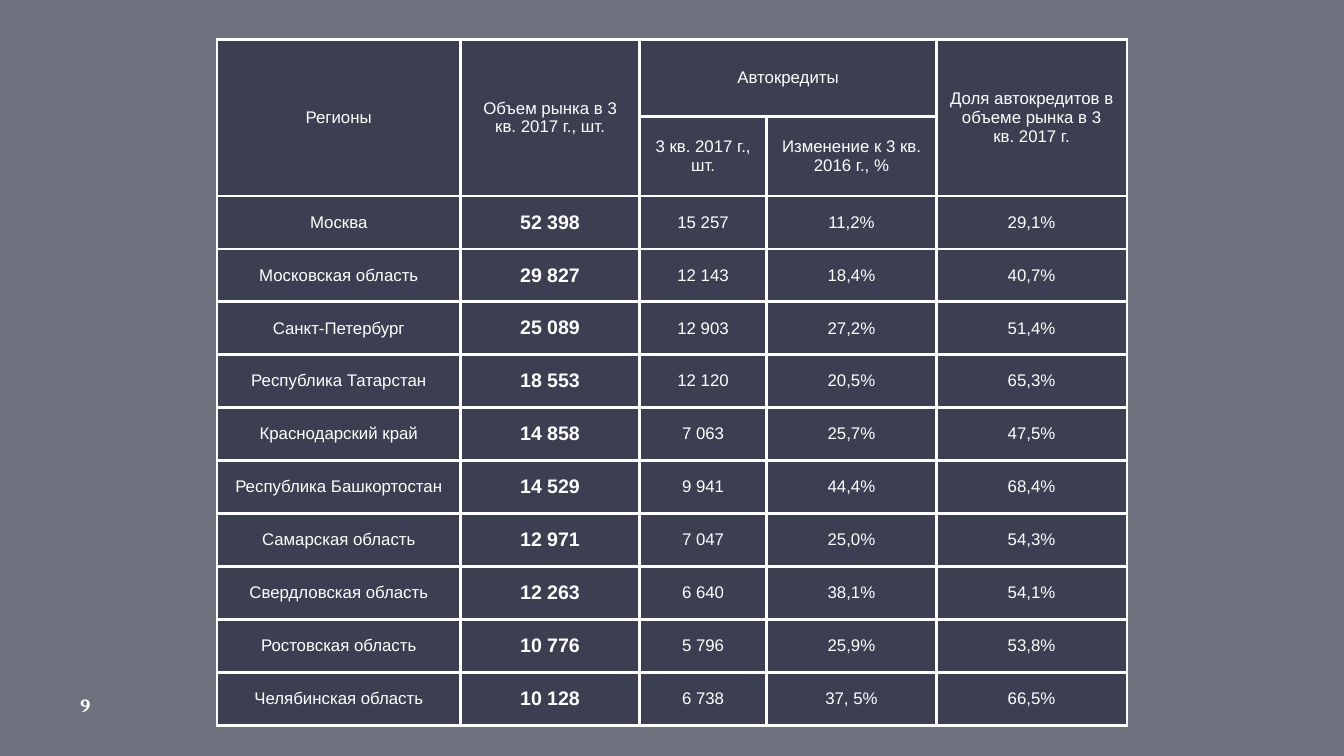
import pptx
import pptx.dml.color
import pptx.enum.shapes
import pptx.enum.text
import pptx.oxml
import pptx.oxml.ns
import pptx.util
from lxml import etree

Pt = pptx.util.Pt
ALIGN = pptx.enum.text.PP_ALIGN
MIDDLE = pptx.enum.text.MSO_ANCHOR.MIDDLE

COLORS = {"navy": "212539", "white": "FFFFFF"}
OPACITY = 65
BORDER = 1.5

COL_WIDTHS = [130.5, 96, 68, 91, 102]
HEADER_HEIGHT, ROW_HEIGHT = 41.2, 28.4
HEADERS = [
    ["Регионы", "Объем рынка в 3 кв. 2017 г., шт.", "Автокредиты", "",
     "Доля автокредитов в объеме рынка в 3 кв. 2017 г."],
    ["", "", "3 кв. 2017 г., шт.", "Изменение к 3 кв. 2016 г., %", ""],
]
# First and last cell (row, column) of each merged header
MERGES = [((0, 0), (1, 0)), ((0, 1), (1, 1)), ((0, 2), (0, 3)), ((0, 4), (1, 4))]
REGIONS = [
    ["Москва", "52 398", "15 257", "11,2%", "29,1%"],
    ["Московская область", "29 827", "12 143", "18,4%", "40,7%"],
    ["Санкт-Петербург", "25 089", "12 903", "27,2%", "51,4%"],
    ["Республика Татарстан", "18 553", "12 120", "20,5%", "65,3%"],
    ["Краснодарский край", "14 858", "7 063", "25,7%", "47,5%"],
    ["Республика Башкортостан", "14 529", "9 941", "44,4%", "68,4%"],
    ["Самарская область", "12 971", "7 047", "25,0%", "54,3%"],
    ["Свердловская область", "12 263", "6 640", "38,1%", "54,1%"],
    ["Ростовская область", "10 776", "5 796", "25,9%", "53,8%"],
    ["Челябинская область", "10 128", "6 738", "37, 5%", "66,5%"],
]


def rgb(name):
    return pptx.dml.color.RGBColor.from_string(COLORS[name])


def write(tf, text, size=9, font="Arial", bold=False, align=ALIGN.CENTER):
    p = tf.paragraphs[0]
    p.alignment = align
    r = p.add_run()
    r.text = text
    r.font.size = Pt(size)
    r.font.name = font
    r.font.bold = bold
    r.font.color.rgb = rgb("white")


def tint(fill, element):
    """Fill with translucent navy; element holds the fill's XML."""
    fill.solid()
    fill.fore_color.rgb = rgb("navy")
    clr = element.find(pptx.oxml.ns.qn("a:solidFill"))[0]
    etree.SubElement(clr, pptx.oxml.ns.qn("a:alpha"), val=str(OPACITY * 1000))


def add_borders(cell):
    tcPr = cell._tc.get_or_add_tcPr()
    for i, side in enumerate(("lnL", "lnR", "lnT", "lnB")):
        tcPr.insert(i, pptx.oxml.parse_xml(
            f'<a:{side} {pptx.oxml.ns.nsdecls("a")} w="{Pt(BORDER)}"><a:solidFill>'
            f'<a:srgbClr val="{COLORS["white"]}"/></a:solidFill></a:{side}>'))


def add_backdrop(s, width, height):
    sp = s.shapes.add_shape(pptx.enum.shapes.MSO_SHAPE.RECTANGLE, 0, 0, width, height)
    sp.shadow.inherit = False
    sp.line.fill.background()
    tint(sp.fill, sp._element.spPr)


def add_page_number(s, number):
    sp = s.shapes.add_textbox(Pt(36), Pt(368), Pt(43), Pt(19.5))
    tf = sp.text_frame
    tf.word_wrap = True
    tf.vertical_anchor = MIDDLE
    tf.margin_left = tf.margin_right = tf.margin_top = tf.margin_bottom = Pt(7.2)
    write(tf, number, size=10, font="Cambria", bold=True, align=ALIGN.LEFT)


def format_cell(cell):
    cell.vertical_anchor = MIDDLE
    cell.margin_left = cell.margin_right = Pt(7.2)
    cell.margin_top = cell.margin_bottom = Pt(5)
    tint(cell.fill, cell._tc.get_or_add_tcPr())
    add_borders(cell)


def add_region_table(s, left, top):
    rows = HEADERS + REGIONS
    heights = [HEADER_HEIGHT] * len(HEADERS) + [ROW_HEIGHT] * len(REGIONS)
    table = s.shapes.add_table(len(rows), len(COL_WIDTHS), Pt(left), Pt(top),
                               Pt(sum(COL_WIDTHS)), Pt(sum(heights))).table
    table.first_row = table.horz_banding = False
    for col, width in zip(table.columns, COL_WIDTHS):
        col.width = Pt(width)
    for row, height in zip(table.rows, heights):
        row.height = Pt(height)
    for first, last in MERGES:
        table.cell(*first).merge(table.cell(*last))

    for i, row in enumerate(rows):
        for j, text in enumerate(row):
            cell = table.cell(i, j)
            format_cell(cell)
            if not cell.is_spanned:
                # Market volumes stand out in bold
                volume = j == 1 and i >= len(HEADERS)
                write(cell.text_frame, text, size=10.5 if volume else 9, bold=volume)


def main():
    prs = pptx.Presentation()
    prs.slide_width, prs.slide_height = Pt(720), Pt(405)
    s = prs.slides.add_slide(prs.slide_layouts[6])
    # Background
    s.background.fill.solid()
    s.background.fill.fore_color.rgb = rgb("white")
    add_backdrop(s, prs.slide_width, prs.slide_height)
    # Content
    add_page_number(s, "9")
    add_region_table(s, 116.2, 21.2)
    prs.save("out.pptx")


if __name__ == "__main__":
    main()
